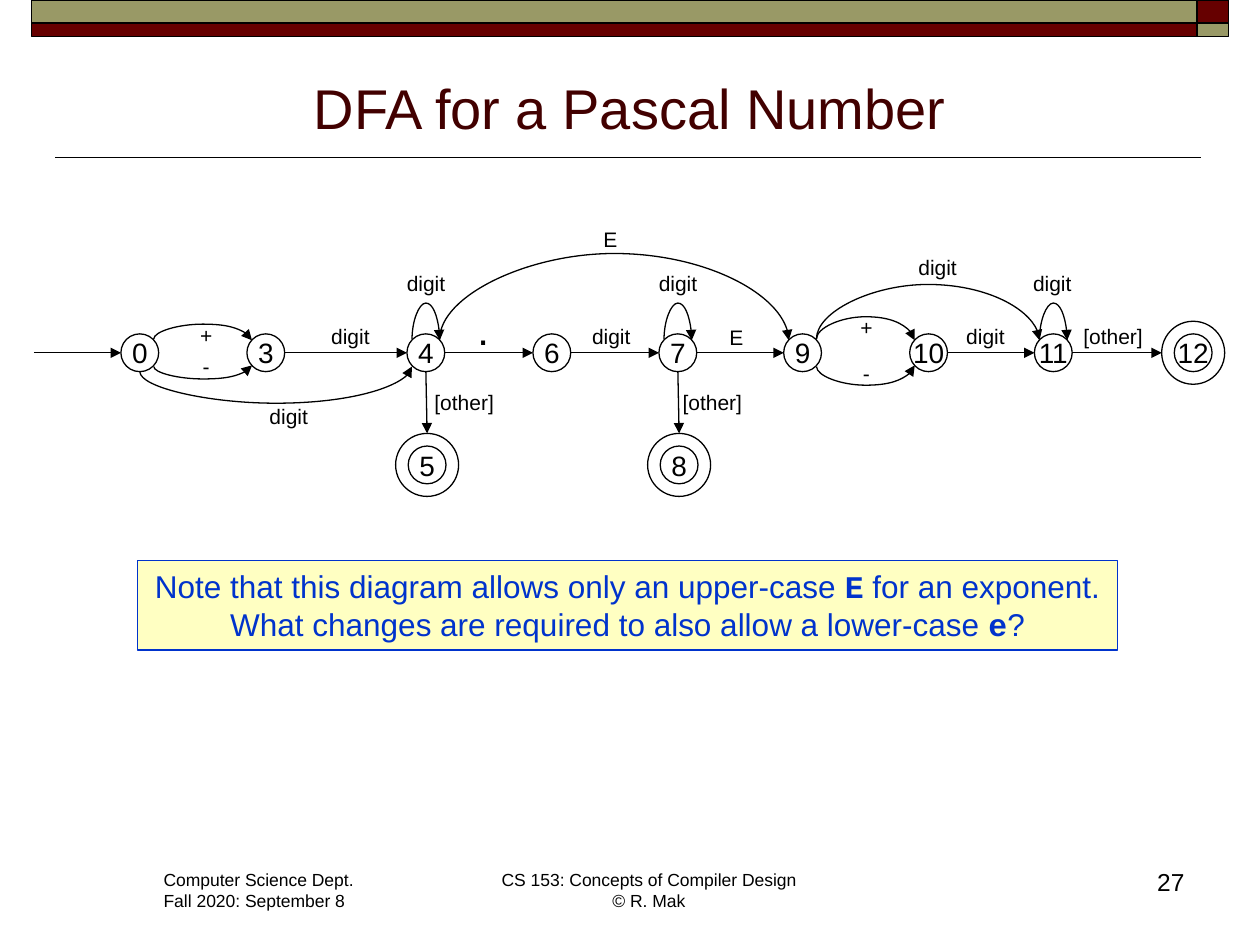
from lxml import etree
from pptx import Presentation
from pptx.dml.color import RGBColor
from pptx.enum.shapes import MSO_CONNECTOR, MSO_SHAPE
from pptx.enum.text import MSO_ANCHOR, MSO_AUTO_SIZE, PP_ALIGN
from pptx.oxml.ns import qn
from pptx.util import Inches, Pt

STRAIGHT, CURVE = MSO_CONNECTOR.STRAIGHT, MSO_CONNECTOR.CURVE
RECTANGLE, OVAL = MSO_SHAPE.RECTANGLE, MSO_SHAPE.OVAL
LEFT, CENTER, RIGHT = PP_ALIGN.LEFT, PP_ALIGN.CENTER, PP_ALIGN.RIGHT
TOP, MIDDLE, BOTTOM = MSO_ANCHOR.TOP, MSO_ANCHOR.MIDDLE, MSO_ANCHOR.BOTTOM
NO_FIT, FIT_SHAPE = MSO_AUTO_SIZE.NONE, MSO_AUTO_SIZE.SHAPE_TO_FIT_TEXT

COLORS = {"black": "000000", "maroon": "660000", "olive": "999966",
          "title": "420000", "blue": "0033CC", "cream": "FFFFC2"}
ROW, RADIUS, RING, OFFSET = 2.8, 0.15, 0.25, 0.11
STATES = {"0": 1.11, "3": 2.11, "4": 3.38, "6": 4.38, "7": 5.38,
          "9": 6.37, "10": 7.37, "11": 8.36, "12": 9.47}
DEAD_ENDS = {"5": "4", "8": "7"}
STEPS = [("3", "4"), ("4", "6"), ("6", "7"), ("7", "9"), ("10", "11")]
ARCS = [("0", "3", 2.57), ("0", "3", 3.01), ("9", "10", 2.51),
        ("9", "10", 3.06), ("4", "9", 2.0), ("9", "11", 2.25)]
LABELS = [("digit", 2.53, 2.52), ("digit", 4.6, 2.52), ("digit", 7.57, 2.52),
          ("digit", 3.13, 2.1), ("digit", 5.13, 2.1), ("digit", 8.1, 2.1),
          ("digit", 2.04, 3.15), ("digit", 7.19, 1.97),
          ("+", 1.49, 2.51), ("-", 1.51, 2.76), ("+", 6.73, 2.45),
          ("-", 6.75, 2.81), ("E", 5.69, 2.53), ("E", 4.69, 1.75),
          ("[other]", 3.35, 3.04), ("[other]", 5.32, 3.04),
          ("[other]", 8.5, 2.52)]
LABEL_WIDTHS = {"digit": 0.51, "+": 0.3, "-": 0.26, "E": 0.31, "[other]": 0.67}
NOTE = [("Note that this diagram allows only an upper-case ", "E", " for an exponent."),
        ("What changes are required to also allow a lower-case ", "e", "?")]


def rgb(name):
    """Return a named color."""
    return RGBColor.from_string(COLORS[name])


def style_text(frame, size, color="black", align=LEFT, anchor=TOP, wrap=False):
    """Format every paragraph and run of a text frame."""
    frame.word_wrap = wrap
    frame.vertical_anchor = anchor
    for para in frame.paragraphs:
        para.alignment = align
        for span in para.runs:
            span.font.size = Pt(size)
            span.font.name = "Arial"
            span.font.color.rgb = rgb(color)


def add_text(page, text, left, top, width, height, size, align=LEFT):
    """Add a text box."""
    box = page.shapes.add_textbox(*map(Inches, (left, top, width, height)))
    box.text_frame.text = text
    style_text(box.text_frame, size, align=align)
    box.text_frame.auto_size = FIT_SHAPE


def add_block(page, kind, left, top, width, height, fill=None, line="black", weight=0.75):
    """Add an outlined shape, filled if a color is named."""
    block = page.shapes.add_shape(kind, *map(Inches, (left, top, width, height)))
    block.shadow.inherit = False
    if fill:
        block.fill.solid()
        block.fill.fore_color.rgb = rgb(fill)
    else:
        block.fill.background()
    block.line.color.rgb = rgb(line)
    block.line.width = Pt(weight)
    return block


def add_circle(page, x, y, radius):
    """Add a circle around a center point."""
    return add_block(page, OVAL, x - radius, y - radius, 2 * radius, 2 * radius)


def add_state(page, name, x, y, accepting):
    """Add a numbered state, with an outer ring if accepting."""
    frame = add_circle(page, x, y, RADIUS).text_frame
    frame.margin_left = frame.margin_right = frame.margin_top = frame.margin_bottom = 0
    frame.text = name
    style_text(frame, 16, align=CENTER, anchor=MIDDLE)
    if accepting:
        add_circle(page, x, y, RING)


def add_line(page, x1, y1, x2, y2, kind=STRAIGHT, weight=0.75, arrow=True):
    """Add a connector, by default with an arrowhead."""
    line = page.shapes.add_connector(kind, *map(Inches, (x1, y1, x2, y2)))
    line.line.color.rgb = rgb("black")
    line.line.width = Pt(weight)
    if arrow:
        etree.SubElement(line.line._get_or_add_ln(), qn("a:tailEnd"), type="triangle")
    etree.SubElement(line._element.spPr, qn("a:effectLst"))
    return line


def add_arc(page, x1, y1, x2, y2, bend):
    """Add a curved arrow to the right that turns at the height given by bend."""
    rise = y2 - y1 or (0.01 if bend < y1 else -0.01)
    depth, span = abs(rise), x2 - x1
    arc = add_line(page, x1, y1, x2, y2, CURVE)
    arc.left = Inches((x1 + x2 - depth) / 2)
    arc.top = Inches(y1 + (rise - span) / 2)
    arc.width, arc.height = Inches(depth), Inches(span)
    properties = arc._element.spPr
    frame = properties.find(qn("a:xfrm"))
    frame.set("rot", str(90 * 60000))
    frame.set("flipH", "1" if rise < 0 else "0")
    frame.set("flipV", "1")
    guides = properties.find(qn("a:prstGeom")).get_or_add_avLst()
    turn = round((bend - y1) / rise * 100000)
    etree.SubElement(guides, qn("a:gd"), name="adj1", fmla=f"val {turn}")


def add_frame(page):
    """Add the top bands, title, rule and footer."""
    for left, width, fills in [(0.25, 9.25, ("olive", "maroon")),
                               (9.5, 0.25, ("maroon", "olive"))]:
        for top, height, fill in zip((0, 0.18), (0.18, 0.11), fills):
            add_block(page, RECTANGLE, left, top, width, height, fill, weight=1)
    add_line(page, 0.44, 1.25, 9.53, 1.25, weight=1, arrow=False)
    title = page.shapes.title
    title.left, title.top, title.width, title.height = map(Inches, (0.5, 0.45, 9, 0.72))
    title.text_frame.text = "DFA for a Pascal Number"
    style_text(title.text_frame, 32, "title", CENTER, BOTTOM, True)
    title.text_frame.auto_size = NO_FIT
    add_text(page, "Computer Science Dept.\nFall 2020: September 8", 1.2, 6.85, 1.72, 0.44, 10)
    add_text(page, "CS 153: Concepts of Compiler Design\v© R. Mak",
             3.87, 6.85, 2.56, 0.44, 10, CENTER)
    add_text(page, "27", 8.8, 6.83, 0.7, 0.5, 14, RIGHT)


def add_diagram(page):
    """Add the states, transitions and labels."""
    for name, x in STATES.items():
        add_state(page, name, x, ROW, name == "12")
    for name, source in DEAD_ENDS.items():
        x = STATES[source]
        add_state(page, name, x + 0.01, 3.69, True)
        add_line(page, x, ROW + RADIUS, x + 0.01, 3.69 - RING)
    add_line(page, 0.27, ROW, STATES["0"] - RADIUS, ROW)
    for start, end in STEPS:
        add_line(page, STATES[start] + RADIUS, ROW, STATES[end] - RADIUS, ROW)
    add_line(page, STATES["11"] + RADIUS, ROW, STATES["12"] - RING, ROW)
    for start, end, bend in ARCS:
        y = ROW - OFFSET if bend < ROW else ROW + OFFSET
        add_arc(page, STATES[start] + OFFSET, y, STATES[end] - OFFSET, y, bend)
    for name in ("4", "7", "11"):
        x, y = STATES[name], ROW - OFFSET
        add_arc(page, x - OFFSET, y, x + OFFSET, y, 2.4)
    add_arc(page, STATES["0"], ROW + RADIUS, STATES["4"] - OFFSET, ROW + OFFSET, 3.2)
    for text, left, top in LABELS:
        add_text(page, text, left, top, LABEL_WIDTHS[text], 0.3, 12)
    add_text(page, ".", 3.69, 2.36, 0.29, 0.5, 24)


def add_note(page):
    """Add the boxed question with its code letters."""
    frame = add_block(page, RECTANGLE, 1.09, 4.45, 7.78, 0.71, "cream", "blue").text_frame
    frame.text = "\n".join([""] * len(NOTE))
    for para, parts in zip(frame.paragraphs, NOTE):
        for part in parts:
            para.add_run().text = part
    style_text(frame, 18, "blue", CENTER)
    for para in frame.paragraphs:
        letter = para.runs[1].font
        letter.name, letter.bold = "Courier New", True
    frame.auto_size = FIT_SHAPE


def main():
    """Build and save the slide."""
    deck = Presentation()
    deck.slide_width, deck.slide_height = Inches(10), Inches(7.5)
    page = deck.slides.add_slide(deck.slide_layouts[5])
    add_frame(page)
    add_diagram(page)
    add_note(page)
    deck.save("out.pptx")


main()
